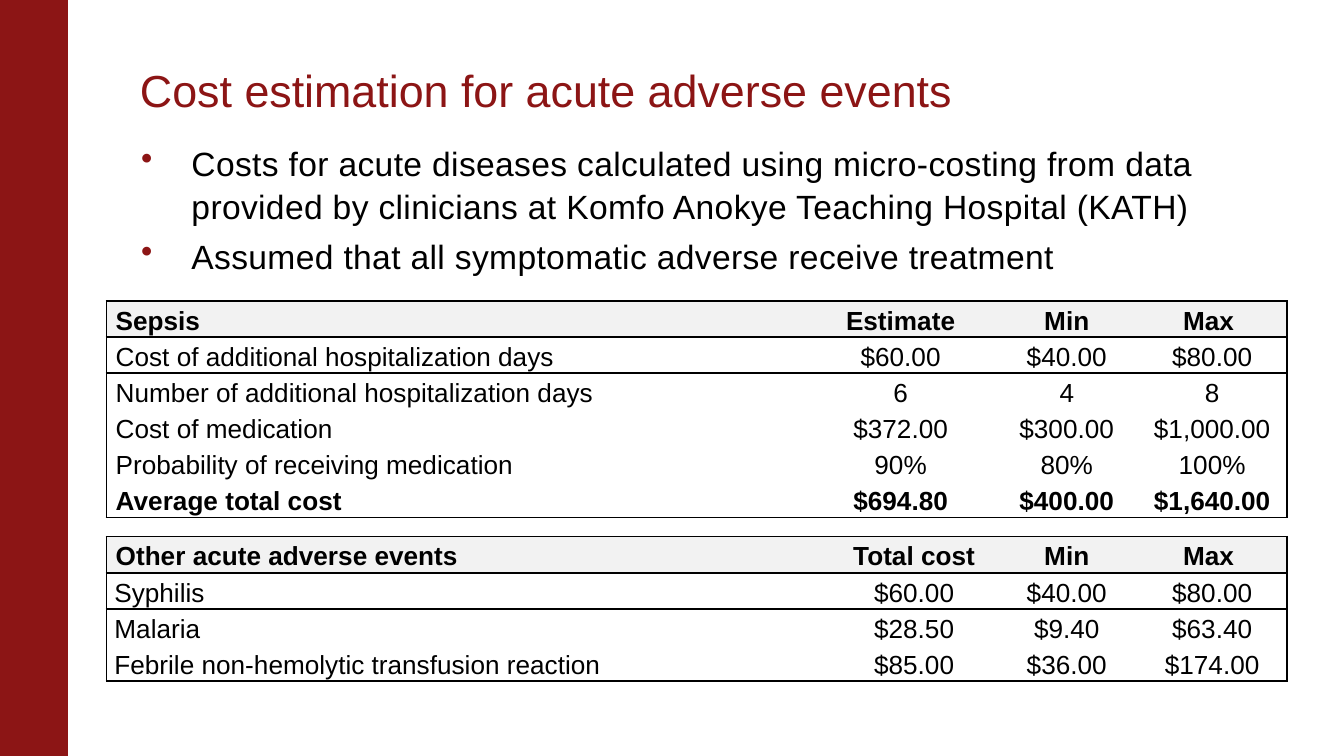
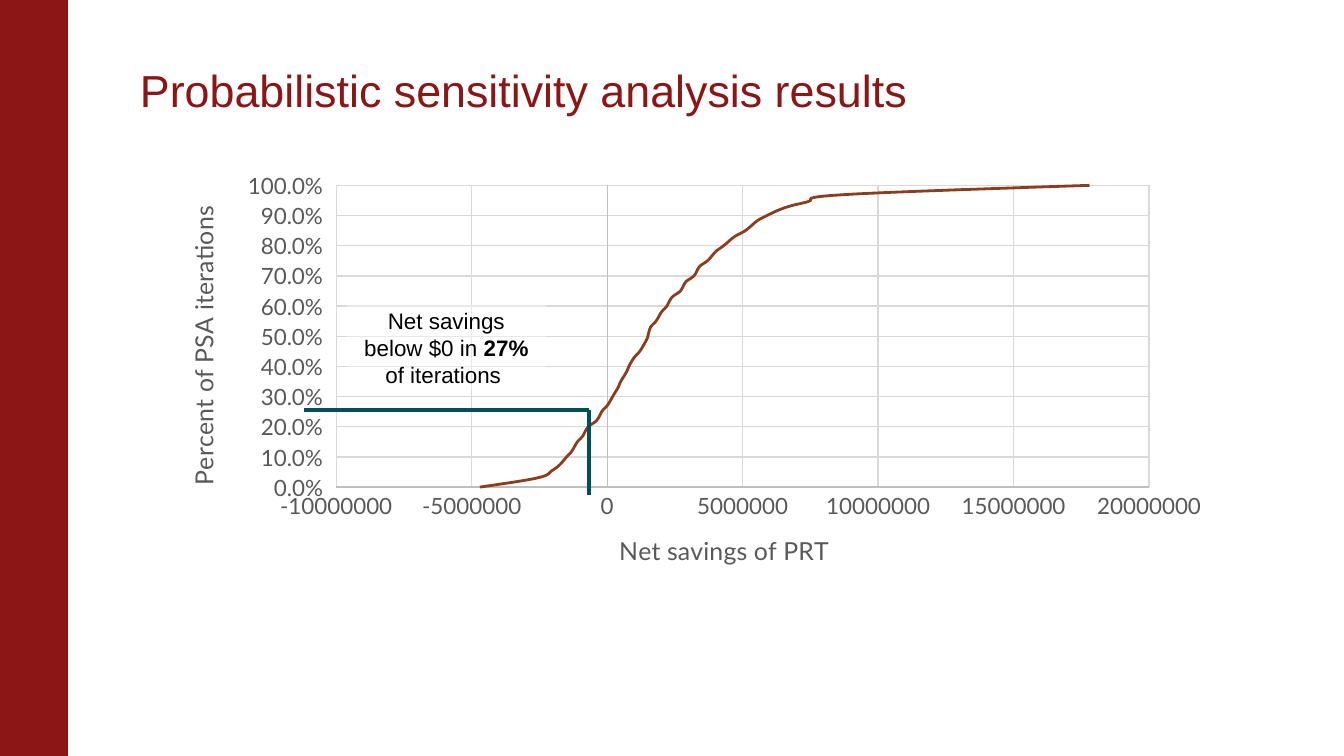
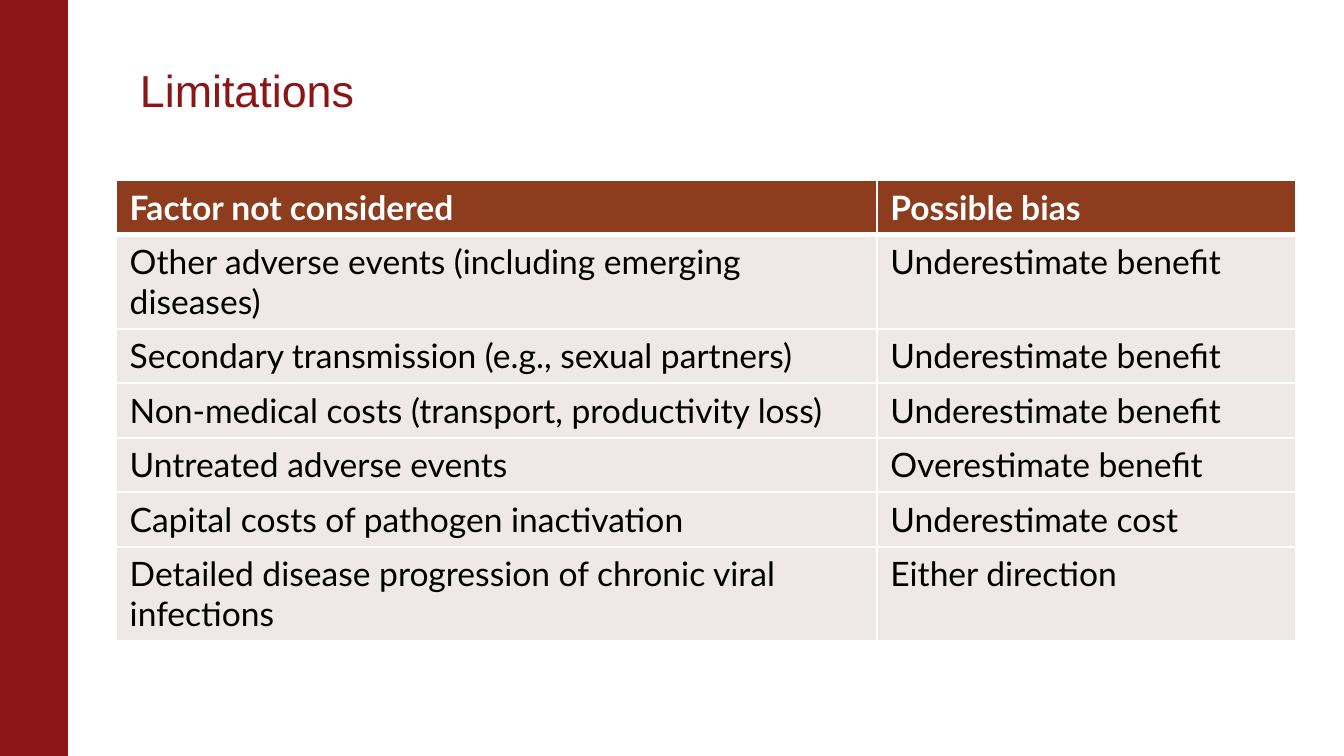
from lxml.etree import SubElement
from pptx import Presentation
from pptx.chart.data import XyChartData
from pptx.dml.color import RGBColor
from pptx.enum.chart import XL_CHART_TYPE as Kind, XL_TICK_LABEL_POSITION as Place, XL_TICK_MARK as Tick
from pptx.enum.shapes import MSO_CONNECTOR as Link, MSO_SHAPE as Shape
from pptx.enum.text import MSO_ANCHOR as Anchor, PP_ALIGN as Align
from pptx.oxml import parse_xml
from pptx.oxml.ns import nsdecls, qn
from pptx.util import Pt

RED, RUST, TEAL = "8C1515", "8D3C1E", "00505C"
BLACK, WHITE, GRAY = "000000", "FFFFFF", "595959"
PLAIN_STYLE = "{2D5ABB26-0587-4C30-8999-92F81FD0307C}"
rgb = RGBColor.from_string


def style(font, size, color, bold=False, name="Arial"):
    look = {"size": Pt(size), "bold": bold, "name": name}
    for key, val in look.items():
        setattr(font, key, val)
    font.color.rgb = rgb(color)


def add_text(slide, left, top, width, height, anchor, right=0):
    box = slide.shapes.add_textbox(Pt(left), Pt(top), Pt(width), Pt(height))
    frame = box.text_frame
    look = {"word_wrap": True, "vertical_anchor": anchor,
            "margin_left": 0, "margin_right": Pt(right)}
    for key, val in look.items():
        setattr(frame, key, val)
    return frame


deck = Presentation()
deck.slide_width, deck.slide_height = Pt(720), Pt(405)

# Red band and title on every slide
titles = [
    "Cost estimation for acute adverse events",
    "Probabilistic sensitivity analysis results",
    "Limitations",
]
for title in titles:
    slide = deck.slides.add_slide(deck.slide_layouts[6])
    band = slide.shapes.add_shape(Shape.RECTANGLE, 0, 0, Pt(36), Pt(405))
    band.shadow.inherit = False
    band.fill.solid()
    band.fill.fore_color.rgb = band.line.color.rgb = rgb(RED)
    band.line.width = Pt(0.75)
    para = add_text(slide, 75, 28, 607, 38, Anchor.BOTTOM, 7.2).paragraphs[0]
    para.line_spacing = 0.85
    run = para.add_run()
    run.text = title
    style(run.font, 24, RED)
costs, curve, limits = deck.slides

# Bullets on the cost slide
points = [
    "Costs for acute diseases calculated using micro-costing from data "
    "provided by clinicians at Komfo Anokye Teaching Hospital (KATH)",
    "Assumed that all symptomatic adverse receive treatment",
]
frame = add_text(costs, 75.6, 71.3, 606, 87, Anchor.TOP)
for i, point in enumerate(points):
    para = frame.add_paragraph() if i else frame.paragraphs[0]
    para.space_before, para.line_spacing = Pt(3.6), 1.07
    props = para._p.get_or_add_pPr()
    props.set("marL", str(Pt(27)))
    props.set("indent", str(-Pt(27)))
    SubElement(SubElement(props, qn("a:buClr")), qn("a:srgbClr"), val=RED)
    SubElement(props, qn("a:buChar"), char="•")
    run = para.add_run()
    run.text = point
    style(run.font, 18, BLACK)
    run.font._element.set("spc", "20")

# Tables: two boxed cost tables and one ruled table of limitations
boxed = {"slide": costs, "left": 57, "high": 17.8, "boxed": True, "size": 14,
         "name": "Arial", "head": ("F2F2F2", BLACK), "body": None}
tables = [
    {**boxed, "top": 161.2, "cols": [374.4, 102.2, 75.8, 80], "pad": 5, "rows": [
        ["Sepsis", "Estimate", "Min", "Max "],
        ["Cost of additional hospitalization days", "$60.00", "$40.00", "$80.00"],
        ["Number of additional hospitalization days", "6", "4", "8"],
        ["Cost of medication", "$372.00", "$300.00", "$1,000.00"],
        ["Probability of receiving medication", "90%", "80%", "100%"],
        ["Average total cost", "$694.80", "$400.00", "$1,640.00"],
    ]},
    {**boxed, "top": 287.5, "cols": [388.8, 87.8, 75.8, 80], "pad": 4.3, "rows": [
        ["Other acute adverse events", "Total cost", "Min", "Max "],
        ["Syphilis", "$60.00", "$40.00", "$80.00"],
        ["Malaria", "$28.50", "$9.40", "$63.40"],
        ["Febrile non-hemolytic transfusion reaction", "$85.00", "$36.00", "$174.00"],
    ]},
    {"slide": limits, "left": 62.3, "top": 96.5, "high": 29.2, "boxed": False,
     "size": 18, "name": "Lato", "head": (RUST, WHITE), "body": "EEE8E8",
     "cols": [407.5, 224.6], "rows": [
        ["Factor not considered", "Possible bias"],
        ["Other adverse events (including emerging diseases)", "Underestimate benefit"],
        ["Secondary transmission (e.g., sexual partners)", "Underestimate benefit"],
        ["Non-medical costs (transport, productivity loss)", "Underestimate benefit"],
        ["Untreated adverse events", "Overestimate benefit"],
        ["Capital costs of pathogen inactivation", "Underestimate cost"],
        ["Detailed disease progression of chronic viral infections", "Either direction"],
    ]},
]
for spec in tables:
    rows, cols = spec["rows"], spec["cols"]
    grid = spec["slide"].shapes.add_table(
        len(rows), len(cols), Pt(spec["left"]), Pt(spec["top"]),
        Pt(sum(cols)), Pt(spec["high"] * len(rows))).table
    grid._tbl.tblPr.find(qn("a:tableStyleId")).text = PLAIN_STYLE
    grid.horz_banding = False
    for col, width in zip(grid.columns, cols):
        col.width = Pt(width)
    for r, row in enumerate(rows):
        fill, color = (spec["body"], BLACK) if r else spec["head"]
        for c, text in enumerate(row):
            cell = grid.cell(r, c)
            para = cell.text_frame.paragraphs[0]
            if spec["boxed"]:
                edges = {"L": c == 0, "R": c == len(cols) - 1,
                         "T": r < 2, "B": r in (0, len(rows) - 1)}
                ink = BLACK
                pad = spec["pad"] if r and not c else 5
                cell.margin_left = cell.margin_right = Pt(pad)
                cell.margin_top = cell.margin_bottom = 0
                cell.vertical_anchor = Anchor.MIDDLE
                para.line_spacing = 1.15
                para.alignment = Align.CENTER if c else Align.LEFT
            else:
                edges = {"L": 1, "R": 1, "T": 3 if r == 1 else 1, "B": 1 if r else 3}
                ink = WHITE
            for side, thick in edges.items():
                if thick:
                    line = SubElement(cell._tc.get_or_add_tcPr(), qn("a:ln" + side),
                                      w=str(Pt(int(thick))))
                    SubElement(SubElement(line, qn("a:solidFill")), qn("a:srgbClr"), val=ink)
            if fill:
                cell.fill.solid()
                cell.fill.fore_color.rgb = rgb(fill)
            else:
                cell.fill.background()
            run = para.add_run()
            run.text = text
            bold = r == 0 or row[0] == "Average total cost"
            style(run.font, spec["size"], color, bold, spec["name"])

# Curve of net savings: x in millions, y in percent
savings = [-4.7, -2.6, -2.1, -1.8, -1.5, -1.3, -1.1, -0.9, -0.7, -0.4, -0.2, 0, 0.2, 0.4,
           0.5, 0.7, 0.8, 1, 1.2, 1.4, 1.5, 1.6, 1.8, 2, 2.2, 2.4, 2.7, 2.9, 3.2, 3.4,
           3.7, 4, 4.3, 4.7, 5.1, 5.5, 5.9, 6.7, 7.5, 8.9, 17.8]
shares = [0, 3, 5, 7, 10, 12, 15, 17, 20, 22, 25, 27, 30, 33, 35, 38, 40, 43, 45, 48, 50,
          53, 55, 58, 60, 63, 65, 68, 70, 73, 75, 78, 80, 83, 85, 88, 90, 93, 95, 97, 100]
data = XyChartData()
series = data.add_series("Series 1")
for x, y in zip(savings, shares):
    series.add_data_point(round(x * 1000000), y / 100)
chart = curve.shapes.add_chart(Kind.XY_SCATTER_SMOOTH_NO_MARKERS, Pt(82.8), Pt(87.8),
                               Pt(573), Pt(231), data).chart
chart.has_legend = chart.has_title = False
style(chart.font, 10, BLACK, name="Lato")
plot = chart.plots[0]
plot.vary_by_categories = False
trace = plot.series[0]
trace.format.line.color.rgb = rgb(RUST)
trace.format.line.width = Pt(1.5)
for smooth in trace._element.findall(qn("c:smooth")):
    smooth.set("val", "1")

axes = [
    (chart.category_axis, "Net savings of PRT", -10000000, 20000000, 5000000, "0"),
    (chart.value_axis, "Percent of PSA iterations", 0, 1, 0.1, "0.0%"),
]
for axis, title, low, high, step, form in axes:
    look = {"minimum_scale": low, "maximum_scale": high, "major_unit": step,
            "major_tick_mark": Tick.NONE, "minor_tick_mark": Tick.NONE,
            "has_major_gridlines": True}
    for key, val in look.items():
        setattr(axis, key, val)
    for line, color in ((axis.format.line, "BFBFBF"),
                        (axis.major_gridlines.format.line, "D9D9D9")):
        line.color.rgb = rgb(color)
        line.width = Pt(0.75)
    ticks = axis.tick_labels
    ticks.number_format, ticks.number_format_is_linked = form, False
    style(ticks.font, 12, GRAY, name="Lato")
    run = axis.axis_title.text_frame.paragraphs[0].add_run()
    run.text = title
    style(run.font, 13.3, GRAY, name="Lato")
chart.value_axis.tick_label_position = Place.LOW
chart.value_axis.axis_title.text_frame._txBody.bodyPr.set("rot", "-5400000")

area = chart._chartSpace.chart.plotArea
for old in area.findall(qn("c:layout")):
    area.remove(old)
layout = parse_xml(f"<c:layout {nsdecls('c')}><c:manualLayout/></c:layout>")
area.insert(0, layout)
fit = {"layoutTarget": "inner", "xMode": "edge", "yMode": "edge",
       "x": 0.17, "y": 0.05, "w": 0.76, "h": 0.7}
for key, val in fit.items():
    SubElement(layout[0], qn("c:" + key), val=str(val))

# Lines that mark the share below zero
corner = (315.4, 219.6)
for start, end in (((315.4, 265), corner), (corner, (162.7, 219.6))):
    mark = curve.shapes.add_connector(Link.STRAIGHT, *map(Pt, start + end))
    mark.line.color.rgb = rgb(TEAL)
    mark.line.width = Pt(2.08)
    SubElement(mark._element.spPr, qn("a:effectLst"))

note = curve.shapes.add_shape(Shape.RECTANGLE, Pt(185.8), Pt(163.4), Pt(106.6), Pt(45.4))
note.shadow.inherit = False
note.line.fill.background()
note.fill.solid()
note.fill.fore_color.rgb = rgb(WHITE)
tint = next(note._element.spPr.iter(qn("a:srgbClr")))
SubElement(tint, qn("a:alpha"), val="40000")
note.text_frame.word_wrap = True
para = note.text_frame.paragraphs[0]
para.alignment = Align.CENTER
for text, bold in (("Net savings below $0 in ", False), ("27%", True), (" of iterations ", False)):
    run = para.add_run()
    run.text = text
    style(run.font, 12, BLACK, bold)

deck.save("out.pptx")
